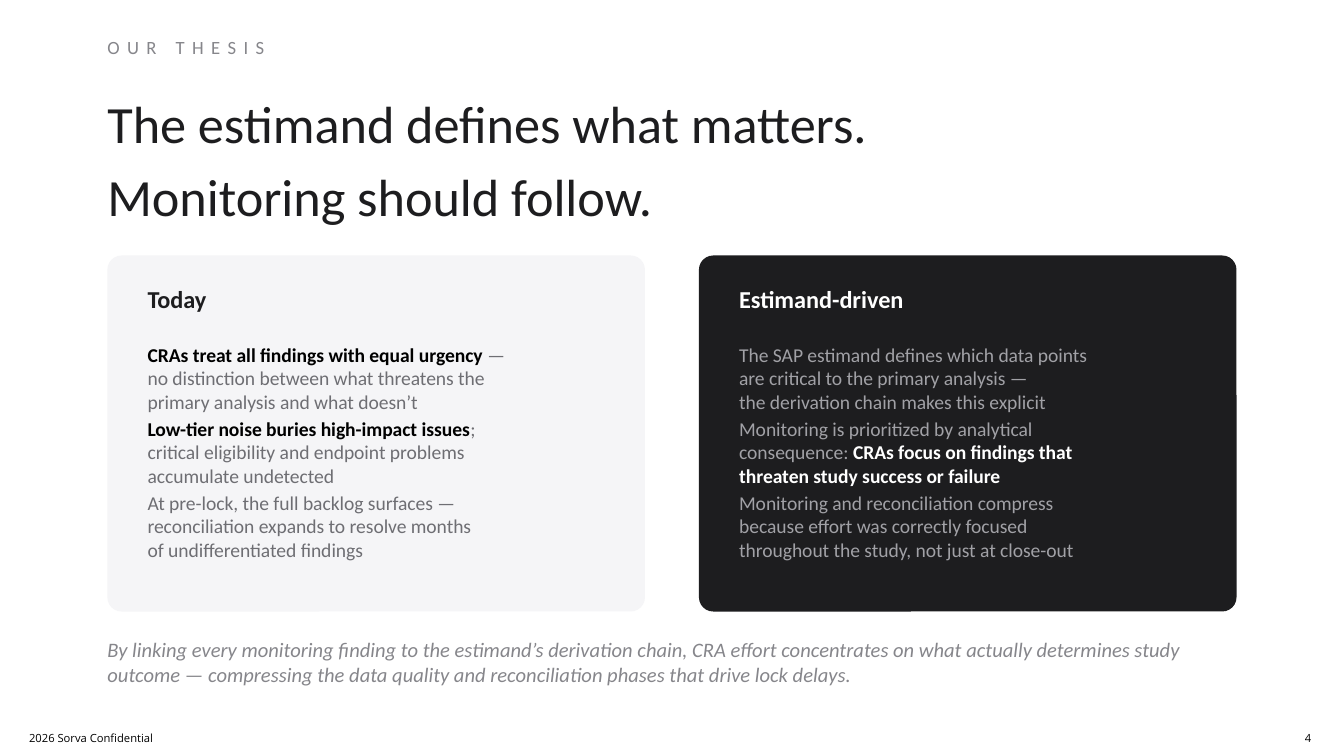
from pptx import Presentation
from pptx.dml.color import RGBColor
from pptx.enum.shapes import MSO_SHAPE
from pptx.enum.text import MSO_ANCHOR
from pptx.util import Cm, Pt

ROUND = MSO_SHAPE.ROUNDED_RECTANGLE
MIDDLE, TOP = MSO_ANCHOR.MIDDLE, MSO_ANCHOR.TOP

# Text between asterisks is bold.
KICKER = ["OUR THESIS"]
TITLE = ["The estimand defines what matters.", "Monitoring should follow."]
CARDS = [
    ("light", "Today", [
        ["*CRAs treat all findings with equal urgency *—",
         "no distinction between what threatens the",
         "primary analysis and what doesn’t"],
        ["*Low-tier noise buries high-impact issues*;",
         "critical eligibility and endpoint problems",
         "accumulate undetected"],
        ["At pre-lock, the full backlog surfaces —",
         "reconciliation expands to resolve months",
         "of undifferentiated findings"],
    ]),
    ("dark", "Estimand-driven", [
        ["The SAP estimand defines which data points",
         "are critical to the primary analysis —",
         "the derivation chain makes this explicit"],
        ["Monitoring is prioritized by analytical",
         "consequence: *CRAs focus on findings that*",
         "*threaten study success or failure*"],
        ["Monitoring and reconciliation compress",
         "because effort was correctly focused",
         "throughout the study, not just at close-out"],
    ]),
]
CLOSING = ["By linking every monitoring finding to the estimand’s derivation "
           "chain, CRA effort concentrates on what actually determines study "
           "outcome — compressing the data quality and reconciliation phases "
           "that drive lock delays."]
FOOTER = ["2026 Sorva Confidential"]
NUMBER = ["4"]

THEME = {
    "font": "Calibri", "foot font": "Open Sans",
    "ink": "1D1D1F", "muted": "86868B", "black": "000000",
    "light": {"fill": "F5F5F7", "head": "1D1D1F",
              "body": "6E6E73", "strong": "000000"},
    "dark": {"fill": "1D1D1F", "head": "FFFFFF",
             "body": "A1A1A6", "strong": "FFFFFF"},
    "size": {"kicker": 10, "title": 28, "head": 13,
             "body": 10.5, "closing": 11, "foot": 6},
}
SIZE = THEME["size"]

# Layout in centimetres
LEFT, WIDE = 2.03, 21.59
CARD_TOP, CARD_W, CARD_H, GAP = 4.83, 10.16, 6.73, 1.02
PAD, TEXT_W = 0.76, 8.89
HEAD_TOP, HEAD_H = 5.21, 0.89
POINT_TOP, POINT_H, STEP = 6.48, 1.32, 1.4


def write(slide, lines, box, size, color, strong=None, font=THEME["font"],
          bold=None, italic=None, track=None, leading=None, inset=0,
          anchor=MIDDLE):
    """Add a text box, one paragraph a line; strong colours the bold parts."""
    shape = slide.shapes.add_textbox(*map(Cm, box))
    frame = shape.text_frame
    frame.word_wrap = True
    frame.vertical_anchor = anchor
    frame.margin_left = frame.margin_right = Cm(inset)
    frame.margin_top = frame.margin_bottom = Cm(inset / 2)
    for i, line in enumerate(lines):
        para = frame.add_paragraph() if i else frame.paragraphs[0]
        para.font.name, para.font.size = font, Pt(size)
        para.font.bold, para.font.italic = bold, italic
        para.font.color.rgb = RGBColor.from_string(color)
        if leading:
            para.line_spacing = leading
        for j, part in enumerate(line.split("*")):
            if not part:
                continue
            run = para.add_run()
            run.text = part
            if j % 2:
                run.font.bold = True
                run.font.color.rgb = RGBColor.from_string(strong)
            if track:
                run._r.get_or_add_rPr().set("spc", str(track * 100))


def draw_card(slide, left, tone, head, points):
    look = THEME[tone]
    card = slide.shapes.add_shape(
        ROUND, Cm(left), Cm(CARD_TOP), Cm(CARD_W), Cm(CARD_H))
    card.adjustments[0] = 0.04
    card.shadow.inherit = False
    card.fill.solid()
    card.fill.fore_color.rgb = RGBColor.from_string(look["fill"])
    card.line.fill.background()
    x = left + PAD
    write(slide, [head], (x, HEAD_TOP, TEXT_W, HEAD_H), SIZE["head"],
          look["head"], bold=True)
    for i, lines in enumerate(points):
        write(slide, lines, (x, POINT_TOP + i * STEP, TEXT_W, POINT_H),
              SIZE["body"], look["body"], look["strong"])


def main():
    deck = Presentation()
    deck.slide_width, deck.slide_height = Cm(25.4), Cm(14.29)
    slide = deck.slides.add_slide(deck.slide_layouts[6])

    write(slide, KICKER, (LEFT, 0.51, 10.16, 0.76), SIZE["kicker"],
          THEME["muted"], track=4)
    write(slide, TITLE, (LEFT, 1.65, WIDE, 2.54), SIZE["title"],
          THEME["ink"], leading=1.15)
    for i, card in enumerate(CARDS):
        draw_card(slide, LEFT + i * (CARD_W + GAP), *card)
    write(slide, CLOSING, (LEFT, 11.94, WIDE, 1.14), SIZE["closing"],
          THEME["muted"], italic=True)
    for lines, x, w in ((FOOTER, 0.3, 3.12), (NUMBER, 24.41, 0.99)):
        write(slide, lines, (x, 13.69, w, 0.51), SIZE["foot"],
              THEME["black"], font=THEME["foot font"], inset=0.25,
              anchor=TOP)

    deck.save("out.pptx")


if __name__ == "__main__":
    main()
